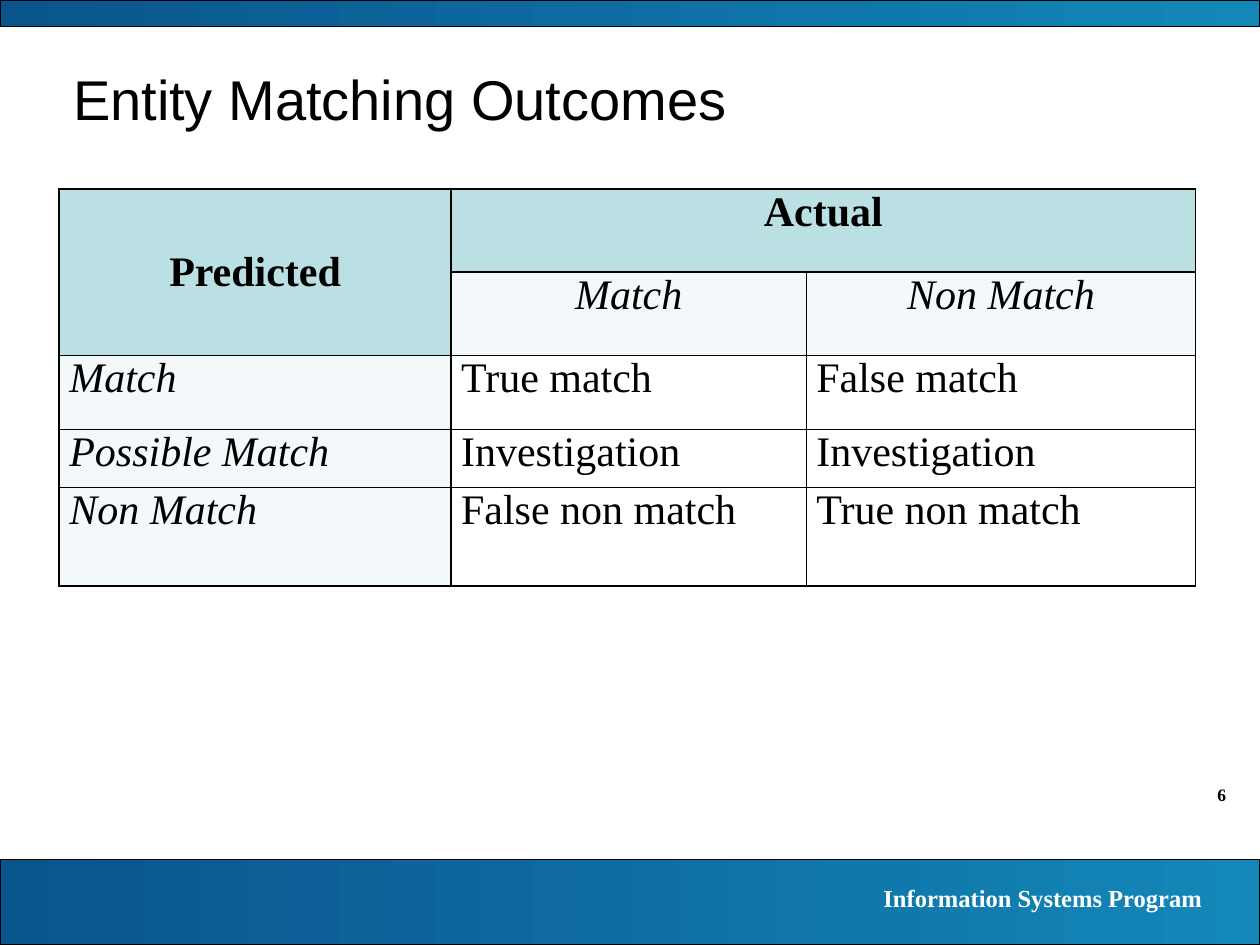
from dataclasses import dataclass

from lxml.etree import SubElement
from pptx import Presentation
from pptx.dml.color import RGBColor as RGB
from pptx.enum.shapes import MSO_SHAPE as SHAPE
from pptx.enum.text import MSO_ANCHOR as ANCHOR, PP_ALIGN as ALIGN
from pptx.oxml.ns import qn
from pptx.util import Inches, Pt

TITLE = "Entity Matching Outcomes"
PROGRAM = "Information Systems Program"
PAGE = "6"
PREDICTED, ACTUAL = "Predicted", "Actual"
ACTUAL_LABELS = ("Match", "Non Match")
OUTCOMES = (
    ("Match", "True match", "False match"),
    ("Possible Match", "Investigation", "Investigation"),
    ("Non Match", "False non match", "True non match"),
)
COLUMN_WIDTHS = (3.11, 2.82, 3.09)
ROW_HEIGHTS = (0.66, 0.66, 0.59, 0.46, 0.78)


@dataclass(frozen=True)
class Theme:
    heading_font: str = "Arial"
    body_font: str = "Times New Roman"
    black: str = "000000"
    white: str = "FFFFFF"
    band_left: str = "0A548C"
    band_right: str = "1387B8"
    header: str = "BBE0E3"
    label: str = "F3F9FA"
    title_size: int = 32
    table_size: int = 24
    program_size: int = 14
    page_size: int = 10
    band_line: float = 0.75
    border: float = 1


THEME = Theme()


def write(frame, text, *, size, font=THEME.body_font, color=THEME.black,
          bold=False, italic=False, align=ALIGN.LEFT):
    paragraph = frame.paragraphs[0]
    paragraph.alignment = align
    run = paragraph.add_run()
    run.text = text
    run.font.name, run.font.size = font, Pt(size)
    run.font.bold, run.font.italic = bold, italic
    run.font.color.rgb = RGB.from_string(color)


def add_band(slide, top, height):
    band = slide.shapes.add_shape(
        SHAPE.RECTANGLE, 0, Inches(top), Inches(10), Inches(height))
    band.shadow.inherit = False
    band.fill.gradient()
    band.fill.gradient_angle = 0
    for stop, color in zip(band.fill.gradient_stops,
                           (THEME.band_left, THEME.band_right)):
        stop.color.rgb = RGB.from_string(color)
    band.line.color.rgb = RGB.from_string(THEME.black)
    band.line.width = Pt(THEME.band_line)


def add_note(slide, text, left, top, width, height, **style):
    box = slide.shapes.add_textbox(*map(Inches, (left, top, width, height)))
    box.text_frame.word_wrap = True
    write(box.text_frame, text, bold=True, align=ALIGN.RIGHT, **style)


def style_cell(cell, fill):
    cell.margin_left = cell.margin_right = Inches(0.08)
    cell.margin_top = cell.margin_bottom = 0
    properties = cell._tc.get_or_add_tcPr()
    for side in ("a:lnL", "a:lnR", "a:lnT", "a:lnB"):
        line = SubElement(properties, qn(side), w=str(Pt(THEME.border)))
        SubElement(SubElement(line, qn("a:solidFill")), qn("a:srgbClr"),
                   val=THEME.black)
    cell.fill.solid()
    cell.fill.fore_color.rgb = RGB.from_string(fill)


def add_outcome_table(slide):
    table = slide.shapes.add_table(
        len(ROW_HEIGHTS), len(COLUMN_WIDTHS), Inches(0.47), Inches(1.5),
        Inches(sum(COLUMN_WIDTHS)), Inches(sum(ROW_HEIGHTS))).table
    for column, width in zip(table.columns, COLUMN_WIDTHS):
        column.width = Inches(width)
    for row, height in zip(table.rows, ROW_HEIGHTS):
        row.height = Inches(height)
    table.cell(0, 0).merge(table.cell(1, 0))
    table.cell(0, 1).merge(table.cell(0, 2))

    rows = ((PREDICTED, ACTUAL, ""), ("", *ACTUAL_LABELS), *OUTCOMES)
    for r, row in enumerate(rows):
        for c, text in enumerate(row):
            cell = table.cell(r, c)
            is_header = r == 0 or (r == 1 and c == 0)
            is_label = not is_header and (r == 1 or c == 0)
            style_cell(cell, THEME.header if is_header
                       else THEME.label if is_label else THEME.white)
            if text:
                write(cell.text_frame, text, size=THEME.table_size,
                      bold=is_header, italic=is_label,
                      align=ALIGN.CENTER if r < 2 else ALIGN.LEFT)
    table.cell(0, 0).vertical_anchor = ANCHOR.MIDDLE


def main():
    deck = Presentation()
    deck.slide_width, deck.slide_height = Inches(10), Inches(7.5)
    slide = deck.slides.add_slide(deck.slide_layouts[5])

    add_note(slide, PAGE, 9, 6.17, 0.83, 0.27, size=THEME.page_size)
    add_band(slide, 6.82, 0.68)
    add_band(slide, 0, 0.21)
    add_note(slide, PROGRAM, 5.55, 6.96, 4.09, 0.34,
             size=THEME.program_size, color=THEME.white)

    title = slide.shapes.title
    title.left, title.top = Inches(0.5), Inches(0.42)
    title.width, title.height = Inches(8.75), Inches(0.82)
    frame = title.text_frame
    frame.vertical_anchor = ANCHOR.TOP
    frame.margin_left, frame.margin_top = Inches(0.08), Inches(0.09)
    write(frame, TITLE, size=THEME.title_size, font=THEME.heading_font)

    add_outcome_table(slide)
    deck.save("out.pptx")


if __name__ == "__main__":
    main()
